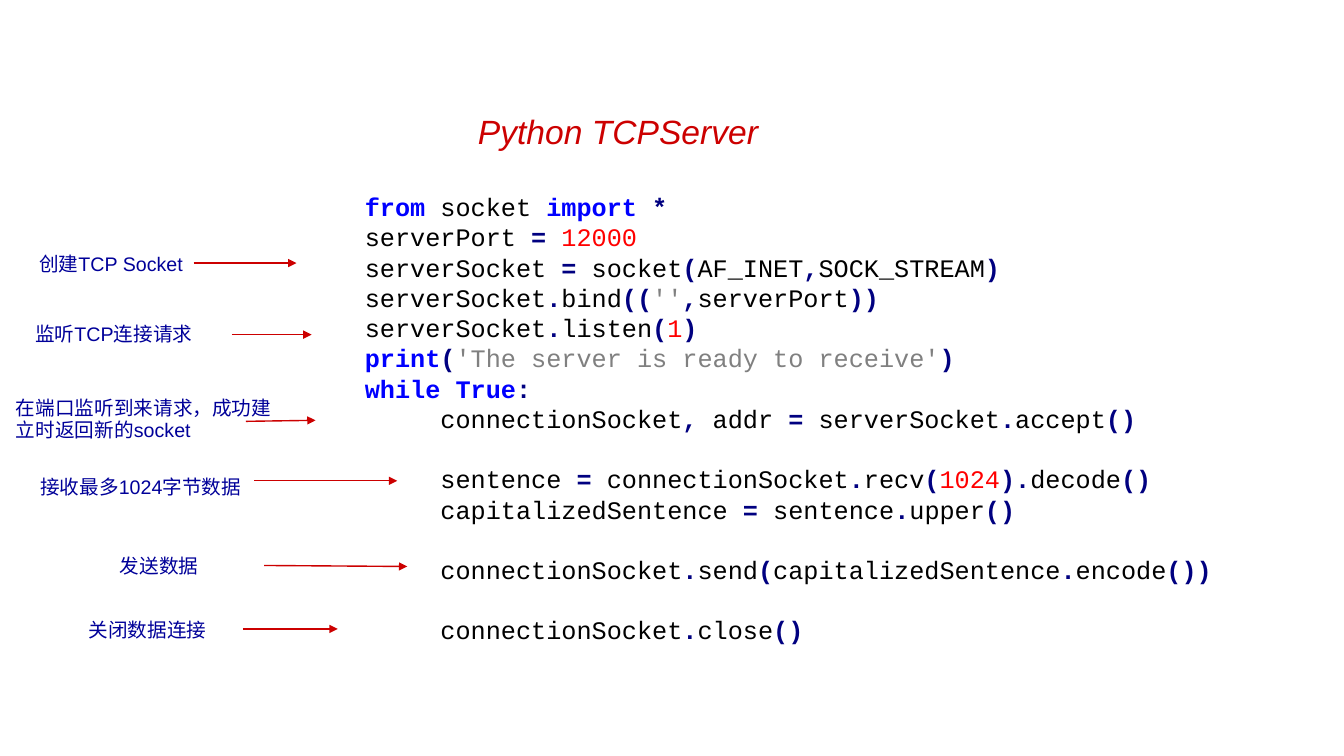
from dataclasses import dataclass
from itertools import groupby
from typing import Iterator, Optional

from pptx import Presentation
from pptx.dml.color import RGBColor
from pptx.enum.shapes import MSO_CONNECTOR
from pptx.enum.text import MSO_ANCHOR, MSO_AUTO_SIZE, PP_ALIGN
from pptx.oxml.ns import qn
from pptx.util import Emu, Pt
from lxml.etree import SubElement

EMU_PER_PX = 9144
COLORS = {
    "accent": "CC0000",
    "label": "000099",
    "keyword": "0000FF",
    "name": "000000",
    "symbol": "000080",
    "number": "FF0000",
    "string": "808080",
}
KEYWORDS = {"from", "import", "print", "while", "True"}
CODE_PITCH = 21.6
CODE = """\
from socket import *
serverPort = 12000
serverSocket = socket(AF_INET,SOCK_STREAM)
serverSocket.bind(('',serverPort))
serverSocket.listen(1)
print('The server is ready to receive')
while True:
     connectionSocket, addr = serverSocket.accept()

     sentence = connectionSocket.recv(1024).decode()
     capitalizedSentence = sentence.upper()

     connectionSocket.send(capitalizedSentence.encode())

     connectionSocket.close()"""


@dataclass(frozen=True)
class Step:
    text: str
    box: tuple[int, int, int, int]
    arrow: tuple[int, int, int, int]
    line_pitch: Optional[int] = None


STEP_GROUPS = (
    (Step("创建TCP Socket", (29, 245, 280, 34), (192, 261, 294, 261)),),
    (Step("监听TCP连接请求", (25, 314, 248, 34), (230, 332, 309, 332)),),
    (Step("在端口监听到来请求，成功建立时返回新的socket",
          (6, 389, 281, 55), (244, 418, 313, 417), 16),),
    (Step("接收最多1024字节数据", (30, 466, 257, 34), (252, 477, 394, 477)),
     Step("发送数据", (109, 545, 257, 34), (262, 561, 404, 562))),
    (Step("关闭数据连接", (78, 608, 257, 34), (241, 624, 335, 624)),),
)


def px(value: int) -> Emu:
    return Emu(value * EMU_PER_PX)


def add_text(paragraph, text: str, *, color: str, size: int, font: str = "Arial",
             bold: bool = False, italic: bool = False) -> None:
    run = paragraph.add_run()
    run.text = text
    run.font.name = font
    run.font.size = Pt(size)
    run.font.bold = bold
    run.font.italic = italic
    run.font.color.rgb = RGBColor.from_string(COLORS[color])


def add_box(shapes, box: tuple[int, int, int, int]):
    frame = shapes.add_textbox(*map(px, box)).text_frame
    frame.word_wrap = True
    frame.auto_size = MSO_AUTO_SIZE.SHAPE_TO_FIT_TEXT
    return frame


def add_arrow(shapes, ends: tuple[int, int, int, int]) -> None:
    arrow = shapes.add_connector(MSO_CONNECTOR.STRAIGHT, *map(px, ends))
    arrow.line.width = Pt(1)
    arrow.line.color.rgb = RGBColor.from_string(COLORS["accent"])
    properties = arrow._element.spPr
    SubElement(properties.find(qn("a:ln")), qn("a:tailEnd"), type="triangle")
    SubElement(properties, qn("a:effectLst"))


def add_step(shapes, step: Step) -> None:
    paragraph = add_box(shapes, step.box).paragraphs[0]
    if step.line_pitch:
        paragraph.line_spacing = Pt(step.line_pitch)
    add_text(paragraph, step.text, color="label", size=14)
    add_arrow(shapes, step.arrow)


def char_class(char: str) -> str:
    if char.isspace():
        return "space"
    return "word" if char.isalnum() or char == "_" else "symbol"


def token_color(token: str, kind: str) -> str:
    if kind == "symbol":
        return "symbol"
    if token in KEYWORDS:
        return "keyword"
    return "number" if token.isdigit() else "name"


def tokens(line: str) -> Iterator[tuple[str, str]]:
    for index, part in enumerate(line.split("'")):
        if index % 2:
            yield f"'{part}'", "string"
            continue
        for kind, chars in groupby(part, char_class):
            token = "".join(chars)
            yield token, token_color(token, kind)


def add_code(frame, code: str) -> None:
    paragraph = frame.paragraphs[0]
    gap = 0.0
    for number, line in enumerate(code.splitlines()):
        if not line:
            gap += CODE_PITCH
            continue
        if number:
            paragraph = frame.add_paragraph()
        paragraph.line_spacing = Pt(CODE_PITCH)
        if gap:
            paragraph.space_before = Pt(gap)
            gap = 0.0
        for token, color in tokens(line):
            add_text(paragraph, token, color=color, size=18, font="Courier New",
                     bold=color in ("keyword", "symbol"))


def add_title(title, text: str) -> None:
    title.left, title.top, title.width, title.height = map(px, (464, 105, 309, 51))
    frame = title.text_frame
    frame.word_wrap = False
    frame.auto_size = MSO_AUTO_SIZE.SHAPE_TO_FIT_TEXT
    frame.vertical_anchor = MSO_ANCHOR.TOP
    paragraph = frame.paragraphs[0]
    paragraph.alignment = PP_ALIGN.LEFT
    add_text(paragraph, text, color="accent", size=24, italic=True)


def main() -> None:
    deck = Presentation()
    deck.slide_width, deck.slide_height = px(1333), px(750)
    slide = deck.slides.add_slide(deck.slide_layouts[5])
    add_title(slide.shapes.title, "Python TCPServer")
    for steps in STEP_GROUPS:
        group = slide.shapes.add_group_shape()
        for step in steps:
            add_step(group.shapes, step)
    add_code(add_box(slide.shapes, (352, 185, 967, 464)), CODE)
    deck.save("out.pptx")


if __name__ == "__main__":
    main()
